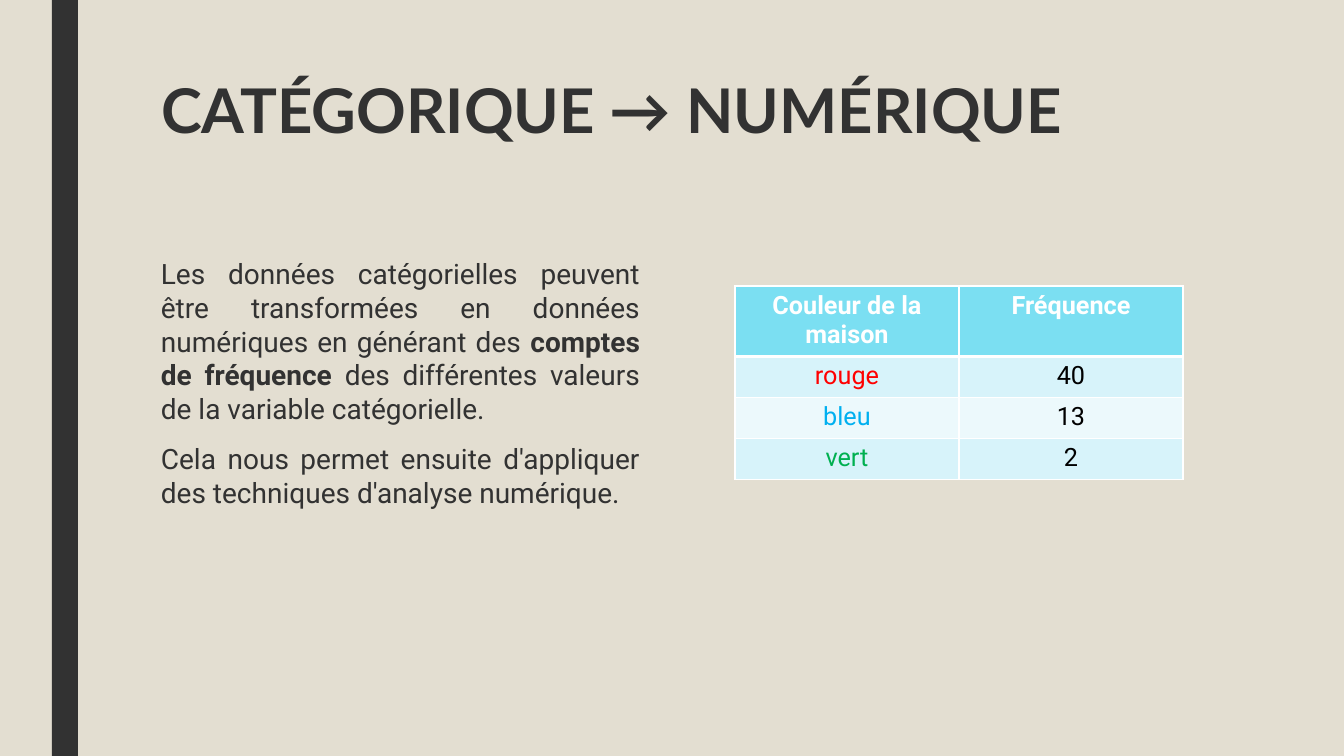
from lxml.etree import SubElement
from pptx import Presentation
from pptx.dml.color import RGBColor
from pptx.enum.shapes import MSO_SHAPE as Shape
from pptx.enum.text import MSO_ANCHOR as Anchor, MSO_AUTO_SIZE as AutoSize, PP_ALIGN as Align
from pptx.oxml.ns import qn
from pptx.util import Pt

EMU_PER_PX = 12192000 / 1344
COLORS = {
    "paper": "E3DED1", "ink": "323232", "white": "FFFFFF", "black": "000000",
    "header": "7BDFF2", "band": "D7F3FA", "light": "ECF9FC",
    "red": "FF0000", "blue": "00B0F0", "green": "00B050",
}


def px(length):
    return round(length * EMU_PER_PX)


def rgb(name):
    return RGBColor.from_string(COLORS[name])


class SlideBuilder:
    """Holds the style and the current slide."""

    title_font = "Lato"
    body_font = "Roboto"

    def __init__(self, page):
        self.page = page
        page.background.fill.solid()
        page.background.fill.fore_color.rgb = rgb("paper")

    def add_span(self, para, text, size, color="ink", bold=False, font=None):
        span = para.add_run()
        span.text = text
        span.font.name = font or self.body_font
        span.font.size = Pt(size)
        span.font.bold = bold
        span.font.color.rgb = rgb(color)

    def bar(self, left, top, width, height):
        bar = self.page.shapes.add_shape(
            Shape.RECTANGLE, px(left), px(top), px(width), px(height))
        bar.shadow.inherit = False
        bar.fill.solid()
        bar.fill.fore_color.rgb = rgb("ink")
        bar.line.fill.background()

    def title(self, text, left, top, width, height):
        box = self.page.shapes.title
        box.left, box.top, box.width, box.height = map(px, (left, top, width, height))
        frame = box.text_frame
        frame.auto_size = AutoSize.NONE
        frame.vertical_anchor = Anchor.TOP
        para = frame.paragraphs[0]
        para.alignment = Align.LEFT
        para.line_spacing = 0.89
        para.space_before = Pt(0)
        self.add_span(para, text, 44, bold=True, font=self.title_font)

    def body(self, paragraphs, left, top, width, height):
        """Justified text; each paragraph is a list of (text, bold) runs."""
        box = self.page.shapes.add_textbox(px(left), px(top), px(width), px(height))
        frame = box.text_frame
        frame.word_wrap = True
        for index, runs in enumerate(paragraphs):
            para = frame.add_paragraph() if index else frame.paragraphs[0]
            para.alignment = Align.JUSTIFY
            para.space_before = Pt(10 if index else 0)
            para.space_after = Pt(2)
            for text, bold in runs:
                self.add_span(para, text, 20, bold=bold)

    def cell_borders(self, cell, widths):
        properties = cell._tc.get_or_add_tcPr()
        for side, width in widths.items():
            line = SubElement(properties, qn(f"a:ln{side}"), w=str(Pt(width)))
            fill = SubElement(line, qn("a:solidFill"))
            SubElement(fill, qn("a:srgbClr"), val=COLORS["white"])

    def table(self, rows, left, top, column_width, row_heights):
        """Each row is a list of (text, color) cells; the first is the header."""
        columns = len(rows[0])
        table = self.page.shapes.add_table(
            len(rows), columns, px(left), px(top),
            px(column_width * columns), px(sum(row_heights))).table
        for column in table.columns:
            column.width = px(column_width)
        for index, (row, height) in enumerate(zip(rows, row_heights)):
            table.rows[index].height = px(height)
            is_header = index == 0
            fill = "header" if is_header else "band" if index % 2 else "light"
            widths = {"L": 1, "R": 1, "T": 3 if index == 1 else 1, "B": 3 if is_header else 1}
            for cell, (text, color) in zip(table.rows[index].cells, row):
                self.cell_borders(cell, widths)
                cell.fill.solid()
                cell.fill.fore_color.rgb = rgb(fill)
                para = cell.text_frame.paragraphs[0]
                para.alignment = Align.CENTER
                self.add_span(para, text, 18, color, bold=is_header)


def main():
    deck = Presentation()
    deck.slide_width, deck.slide_height = px(1344), px(756)
    slide = SlideBuilder(deck.slides.add_slide(deck.slide_layouts[5]))

    slide.bar(52, 0, 26, 756)
    slide.title("CATÉGORIQUE → NUMÉRIQUE", 151, 76, 1058, 163)
    slide.body([
        [("Les données catégorielles peuvent être transformées en données "
          "numériques en générant des ", False),
         ("comptes de fréquence ", True),
         ("des différentes valeurs de la variable catégorielle.", False)],
        [("Cela nous permet ensuite d'appliquer des techniques d'analyse numérique.", False)],
    ], 151, 252, 499, 395)
    slide.table([
        [("Couleur de la maison", "white"), ("Fréquence", "white")],
        [("rouge", "red"), ("40", "black")],
        [("bleu", "blue"), ("13", "black")],
        [("vert", "green"), ("2", "black")],
    ], 735, 286, 224, [69, 41, 41, 41])

    deck.save("out.pptx")


if __name__ == "__main__":
    main()
